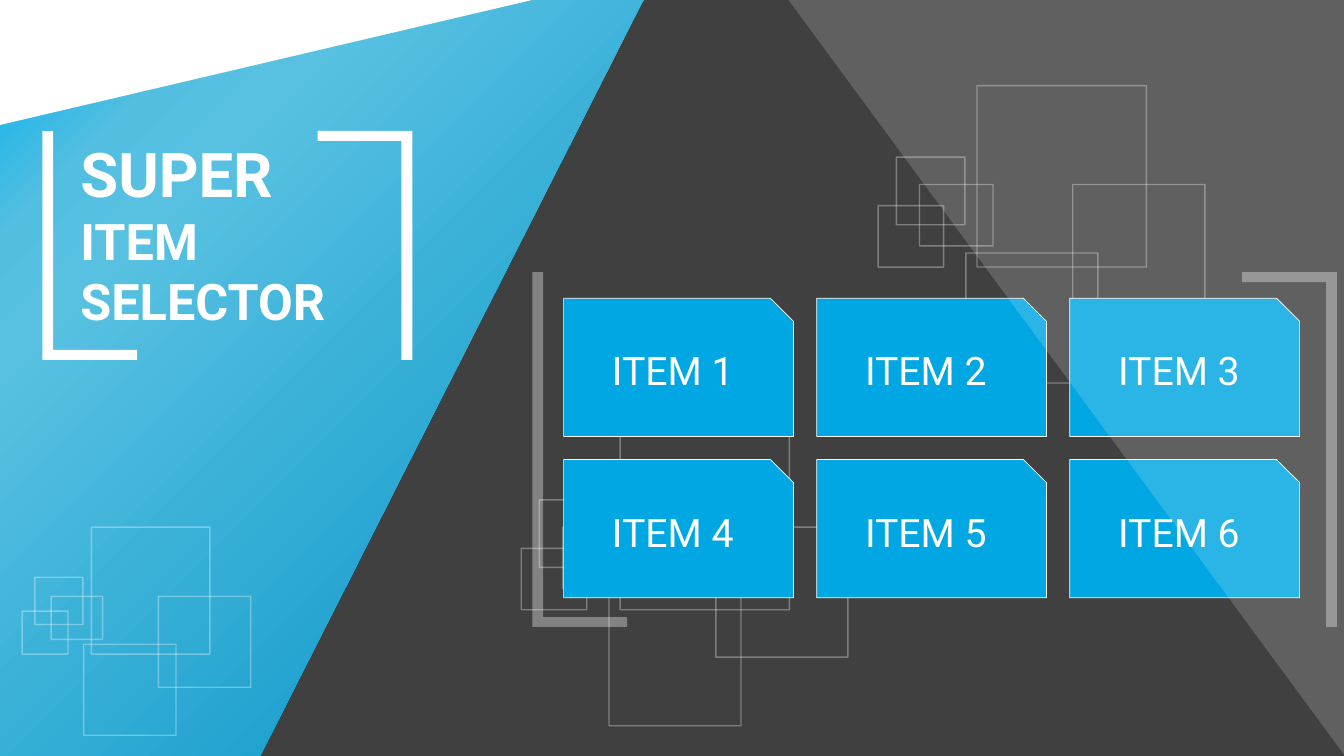
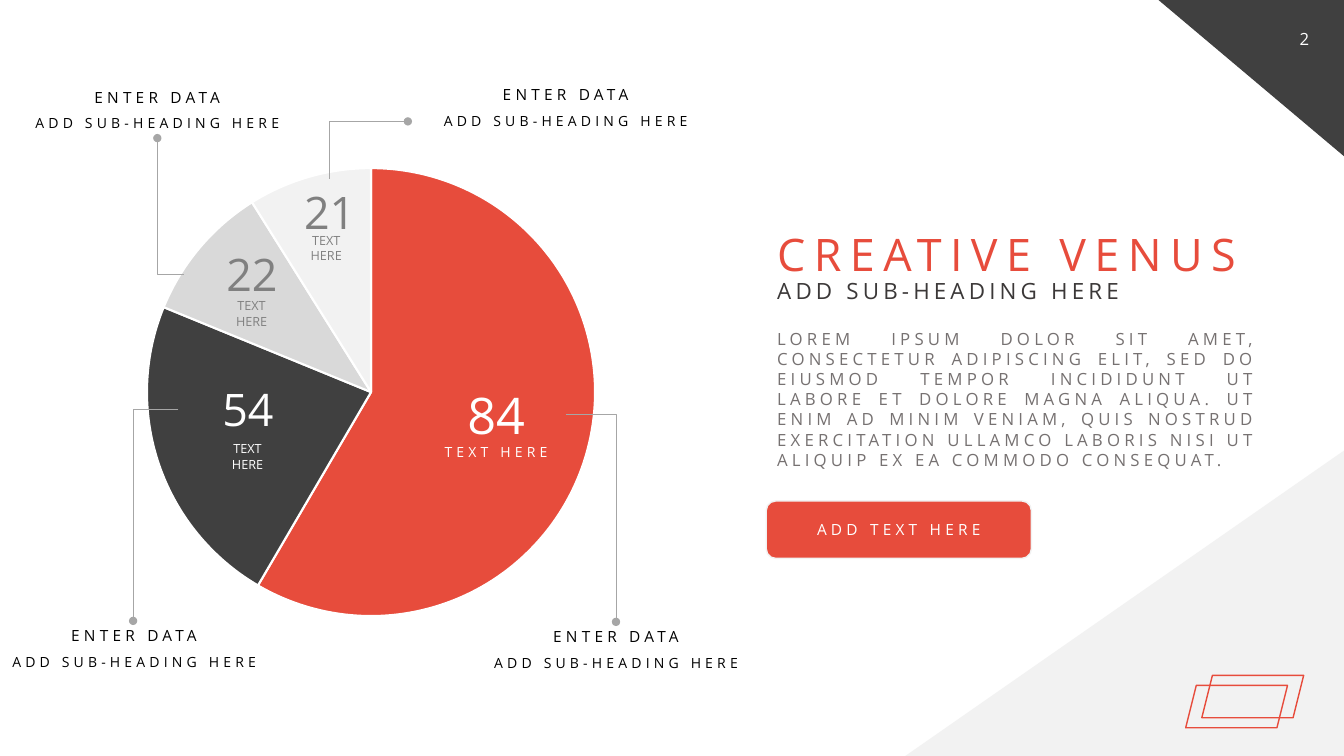
import dataclasses
import typing

import lxml.etree
import pptx
import pptx.chart.data
import pptx.dml.color
import pptx.enum.chart
import pptx.enum.shapes
import pptx.enum.text
import pptx.oxml.ns
import pptx.util

Inches = pptx.util.Inches
Pt = pptx.util.Pt
RGBColor = pptx.dml.color.RGBColor
KIND = pptx.enum.shapes.MSO_SHAPE
ALIGN = pptx.enum.text.PP_ALIGN
ANCHOR = pptx.enum.text.MSO_ANCHOR
qn = pptx.oxml.ns.qn

WHITE = RGBColor(0xFF, 0xFF, 0xFF)
BLACK = RGBColor(0, 0, 0)
DARK = RGBColor(0x40, 0x40, 0x40)
BLUE = RGBColor(0x00, 0xA7, 0xE2)
RED = RGBColor(0xE7, 0x4C, 0x3C)
PALE = RGBColor(0xF2, 0xF2, 0xF2)
SILVER = RGBColor(0xD9, 0xD9, 0xD9)
GREY = RGBColor(0x80, 0x80, 0x80)
LEAD = RGBColor(0xA6, 0xA6, 0xA6)
INK = RGBColor(0x3B, 0x38, 0x38)
STONE = RGBColor(0x76, 0x71, 0x71)
SKY = [
    (0, RGBColor(0x00, 0x91, 0xC4)),
    (74, RGBColor(0x58, 0xC1, 0xE2)),
    (83, RGBColor(0x52, 0xBE, 0xE0)),
    (100, RGBColor(0x00, 0xB0, 0xF0)),
]
ROBOTO = "Roboto"
OPEN = "Open Sans"
SUB = "ADD SUB-HEADING HERE"
LOREM = (
    "LOREM IPSUM DOLOR SIT AMET, CONSECTETUR ADIPISCING ELIT, SED DO EIUSMOD "
    "TEMPOR INCIDIDUNT UT LABORE ET DOLORE MAGNA ALIQUA. UT ENIM AD MINIM VENIAM, "
    "QUIS NOSTRUD EXERCITATION ULLAMCO LABORIS NISI UT ALIQUIP EX EA COMMODO CONSEQUAT."
)


@dataclasses.dataclass(frozen=True)
class Box:
    x: float
    y: float
    w: float
    h: float


@dataclasses.dataclass(frozen=True)
class Mark:
    value: str
    num: Box
    note: Box
    tint: RGBColor
    size: int = 32
    small: int = 9
    space: int = 0


@dataclasses.dataclass(frozen=True)
class Bend:
    x1: float
    y1: float
    x2: float
    y2: float
    turn: int


SQUARES = [
    Box(0.18, 0.71, 0.68, 0.67),
    Box(0.41, 0.98, 0.73, 0.61),
    Box(0, 1.19, 0.65, 0.61),
    Box(0.98, 0, 1.68, 1.8),
    Box(1.93, 0.98, 1.31, 1.29),
    Box(0.87, 1.66, 1.31, 1.29),
]
MARKS = [
    Mark("84", Box(4.23, 3.76, 1.38, 0.71), Box(4.17, 4.35, 1.5, 0.27), WHITE, 36, 10, 3),
    Mark("54", Box(1.77, 3.74, 1.38, 0.64), Box(2.06, 4.33, 0.79, 0.4), WHITE),
    Mark("22", Box(1.81, 2.4, 1.38, 0.64), Box(2.1, 2.91, 0.79, 0.4), GREY),
    Mark("21", Box(2.58, 1.78, 1.38, 0.64), Box(2.84, 2.26, 0.79, 0.4), GREY),
]
CALLS = [(4.84, 6.17), (0.06, 6.16), (4.34, 0.8), (0.29, 0.82)]
BENDS = [
    Bend(5.61, 4.11, 6.11, 6.17, 0),
    Bend(1.32, 6.16, 1.77, 4.06, 180),
    Bend(1.56, 1.37, 1.82, 2.72, 180),
    Bend(3.94, 1.88, 3.37, 1.1, 90),
]


def fade(node: typing.Any, level: int) -> None:
    tint = node.find(".//" + qn("a:srgbClr"))
    lxml.etree.SubElement(tint, qn("a:alpha")).set("val", str(level * 1000))


def paint(shape, fill=None, line=None, width=1.0, clear=None) -> None:
    shape.shadow.inherit = False
    if fill is None:
        shape.fill.background()
    else:
        shape.fill.solid()
        shape.fill.fore_color.rgb = fill
    if line is None:
        shape.line.fill.background()
    else:
        shape.line.color.rgb = line
        shape.line.width = Pt(width)
    if clear is not None:
        fade(shape.element.spPr, clear)


def draw(slide, kind, box: Box, flip: str = "", adj=(), **look):
    shape = slide.shapes.add_shape(
        kind, Inches(box.x), Inches(box.y), Inches(box.w), Inches(box.h)
    )
    for axis in flip:
        shape.element.spPr.find(qn("a:xfrm")).set("flip" + axis, "1")
    for spot, value in enumerate(adj):
        shape.adjustments[spot] = value
    paint(shape, **look)
    return shape


def trace(slide, points):
    start, *rest = [(Inches(x), Inches(y)) for x, y in points]
    pen = slide.shapes.build_freeform(*start)
    pen.add_line_segments(rest, close=True)
    return pen.convert_to_shape()


def write(frame, text: str, *, size: float, tint: RGBColor, font: str = OPEN,
          bold: bool = False, space: int = 0, align=ALIGN.LEFT, lead: float = 1.0) -> None:
    para = frame.paragraphs[0]
    if para.runs:
        para = frame.add_paragraph()
    para.alignment = align
    para.line_spacing = lead
    run = para.add_run()
    run.text = text
    run.font.name = font
    run.font.size = Pt(size)
    run.font.bold = bold
    run.font.color.rgb = tint
    if space:
        run.font._element.set("spc", str(space * 100))


def label(slide, box: Box, text: str = "", **form):
    area = slide.shapes.add_textbox(
        Inches(box.x), Inches(box.y), Inches(box.w), Inches(box.h)
    )
    frame = area.text_frame
    frame.word_wrap = True
    frame.auto_size = pptx.enum.text.MSO_AUTO_SIZE.SHAPE_TO_FIT_TEXT
    if text:
        write(frame, text, **form)
    return frame


def shade(shape) -> None:
    paint(shape, WHITE)
    props = shape.element.spPr
    old = props.find(qn("a:solidFill"))
    new = lxml.etree.Element(qn("a:gradFill"), rotWithShape="1")
    stops = lxml.etree.SubElement(new, qn("a:gsLst"))
    for place, tint in SKY:
        stop = lxml.etree.SubElement(stops, qn("a:gs"), pos=str(place * 1000))
        lxml.etree.SubElement(stop, qn("a:srgbClr"), val=str(tint))
    lxml.etree.SubElement(new, qn("a:lin"), ang=str(225 * 60000), scaled="0")
    props.replace(old, new)


def scatter(slide, x: float, y: float, scale: float = 1.0) -> None:
    for part in SQUARES:
        box = Box(x + part.x * scale, y + part.y * scale, part.w * scale, part.h * scale)
        draw(slide, KIND.RECTANGLE, box, line=WHITE, clear=32)


def bracket(slide, left: float, right: float, y: float, h: float, clear=None) -> None:
    for x, flip in ((left, ""), (right, "HV")):
        draw(slide, KIND.CORNER, Box(x, y, 0.94, h), flip, (0.104, 0.115),
             fill=WHITE, clear=clear)


def link(slide, bend: Bend) -> None:
    line = slide.shapes.add_connector(
        pptx.enum.shapes.MSO_CONNECTOR.ELBOW,
        Inches(bend.x1), Inches(bend.y1), Inches(bend.x2), Inches(bend.y2),
    )
    line.line.color.rgb = LEAD
    line.line.width = Pt(0.5)
    props = line.element.spPr
    props.find(qn("a:xfrm")).set("rot", str(bend.turn * 60000))
    props.find(qn("a:prstGeom")).set("prst", "bentConnector2")
    lxml.etree.SubElement(props.find(qn("a:ln")), qn("a:tailEnd"), type="oval")
    lxml.etree.SubElement(props, qn("a:effectLst"))


def chart(slide) -> None:
    data = pptx.chart.data.CategoryChartData()
    data.categories = ["1", "2", "3", "4"]
    data.add_series("Series 1", (59, 23, 10, 9))
    pie = slide.shapes.add_chart(
        pptx.enum.chart.XL_CHART_TYPE.PIE,
        Inches(0.29), Inches(1.53), Inches(6.78), Inches(4.72), data,
    ).chart
    pie.has_legend = False
    pie.has_title = False
    pie.font.size = Pt(10)
    pie.font.name = "Noto Sans CJK SC"
    pie.font.color.rgb = BLACK
    for spot, tint in enumerate((RED, DARK, SILVER, PALE)):
        form = pie.plots[0].series[0].points[spot].format
        form.fill.solid()
        form.fill.fore_color.rgb = tint
        form.line.color.rgb = WHITE
        form.line.width = Pt(1.5)


def items(deck) -> None:
    slide = deck.slides.add_slide(deck.slide_layouts[6])
    paint(trace(slide, [(0.91, 7.5), (6.39, 0), (13.33, 0), (13.33, 7.5)]), DARK)
    shade(trace(slide, [(0, 0), (6.38, 0), (2.58, 7.5), (0, 7.5)]))
    scatter(slide, 8.71, 0.85)
    scatter(slide, 0.22, 5.23, 0.7)
    scatter(slide, 5.17, 4.25)
    for spot in range(6):
        row, col = divmod(spot, 3)
        card = draw(slide, KIND.SNIP_1_RECTANGLE,
                    Box(5.59 + col * 2.51, 2.96 + row * 1.6, 2.28, 1.37),
                    fill=BLUE, line=WHITE, width=0.5)
        frame = card.text_frame
        frame.margin_left = frame.margin_right = Inches(0.12)
        frame.margin_top = frame.margin_bottom = Inches(0.12)
        frame.vertical_anchor = ANCHOR.MIDDLE
        write(frame, f"ITEM {spot + 1}", size=28, tint=WHITE, font=ROBOTO,
              align=ALIGN.CENTER, lead=0.9)
    title = label(slide, Box(0.7, 1.3, 3.2, 2.05))
    for text, size in (("SUPER", 44), ("ITEM", 36), ("SELECTOR", 36)):
        write(title, text, size=size, tint=WHITE, font=ROBOTO, bold=True)
    draw(slide, KIND.ISOSCELES_TRIANGLE, Box(7.82, 0, 5.52, 7.5), "V", (1,),
         fill=WHITE, clear=17)
    bracket(slide, 0.42, 3.15, 1.3, 2.27)
    bracket(slide, 5.28, 12.32, 2.7, 3.52, 35)
    draw(slide, KIND.ISOSCELES_TRIANGLE, Box(0, 0, 5.28, 1.24), "V", (0,), fill=WHITE)


def venus(deck) -> None:
    slide = deck.slides.add_slide(deck.slide_layouts[6])
    draw(slide, KIND.RIGHT_TRIANGLE, Box(8.95, 4.47, 4.38, 3.05), "H", fill=PALE)
    label(slide, Box(7.61, 2.2, 5.18, 0.64), "CREATIVE VENUS", size=32, tint=RED, space=6)
    label(slide, Box(7.61, 2.7, 4.71, 0.37), SUB, size=16, tint=INK, space=3)
    label(slide, Box(7.61, 3.21, 4.96, 1.51), LOREM, size=12, tint=STONE, space=3,
          align=ALIGN.JUSTIFY)
    for x, y in ((11.76, 6.8), (11.92, 6.7)):
        draw(slide, KIND.PARALLELOGRAM, Box(x, y, 1.01, 0.42), line=RED)
    button = draw(slide, KIND.ROUNDED_RECTANGLE, Box(7.6, 4.97, 2.63, 0.57),
                  fill=RED, line=PALE)
    button.text_frame.vertical_anchor = ANCHOR.MIDDLE
    write(button.text_frame, "ADD TEXT HERE", size=11, tint=WHITE, space=3,
          align=ALIGN.CENTER)
    chart(slide)
    for mark in MARKS:
        label(slide, mark.num, mark.value, size=mark.size, tint=mark.tint,
              align=ALIGN.CENTER)
        label(slide, mark.note, "TEXT HERE", size=mark.small, tint=mark.tint,
              space=mark.space, align=ALIGN.CENTER)
    for x, y in CALLS:
        label(slide, Box(x, y, 2.54, 0.29), "ENTER DATA", size=11, tint=BLACK,
              space=3, align=ALIGN.CENTER)
        label(slide, Box(x - 0.29, y + 0.27, 3.12, 0.27), SUB, size=10, tint=BLACK,
              space=3, align=ALIGN.CENTER)
    for bend in BENDS:
        link(slide, bend)
    draw(slide, KIND.RIGHT_TRIANGLE, Box(11.49, 0, 1.84, 1.55), "HV", fill=DARK)
    label(slide, Box(12.79, 0.24, 0.29, 0.3), "2", size=12, tint=WHITE)


def main() -> None:
    deck = pptx.Presentation()
    deck.slide_width = Inches(13.33)
    deck.slide_height = Inches(7.5)
    items(deck)
    venus(deck)
    deck.save("out.pptx")


if __name__ == "__main__":
    main()
